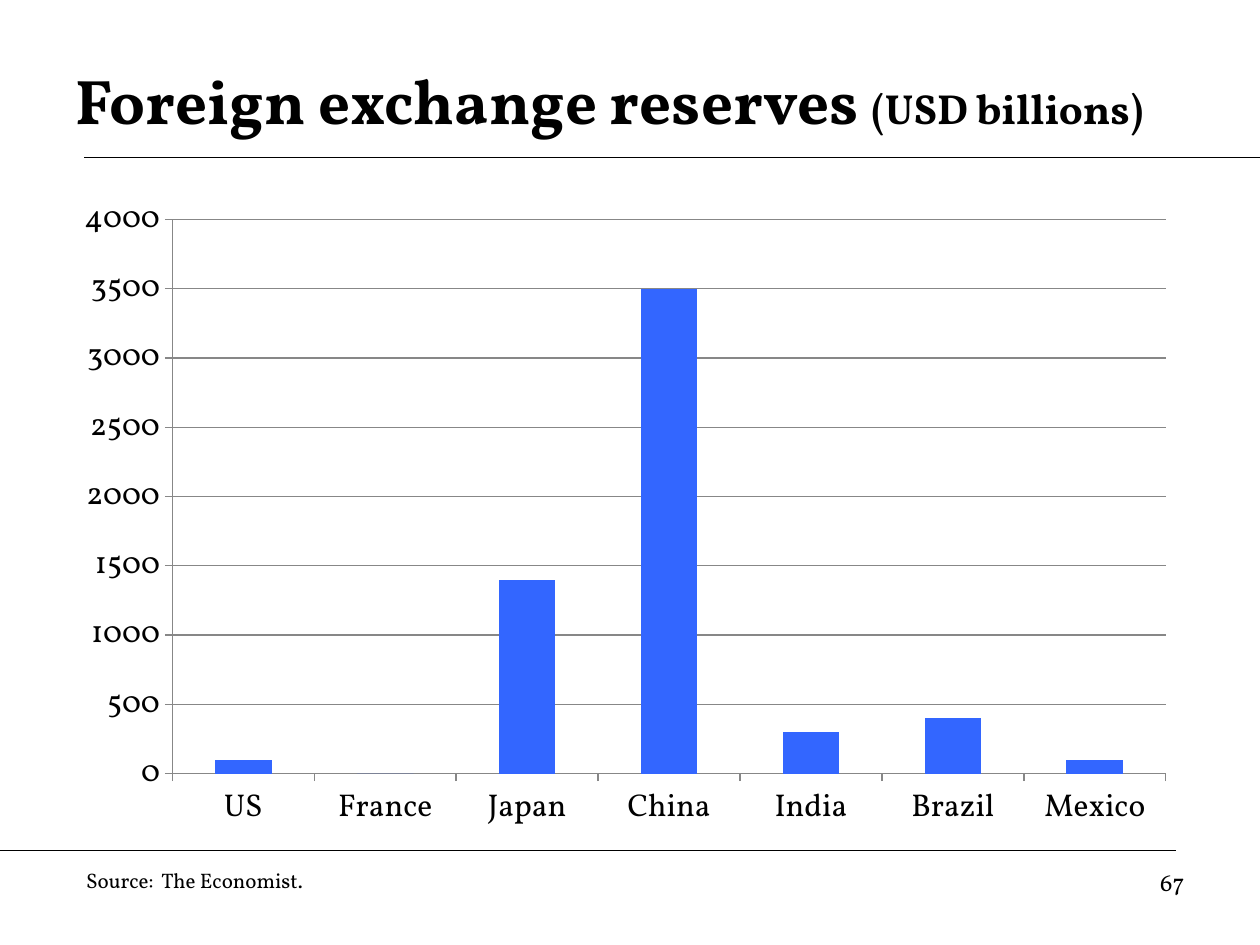
from typing import NamedTuple

from lxml import etree
from pptx import Presentation
from pptx import util as u
from pptx.chart.data import CategoryChartData
from pptx.dml.color import RGBColor
from pptx.enum import chart as charts, shapes, text
from pptx.oxml import parse_xml
from pptx.oxml.ns import qn

WIDTH, HEIGHT = u.Inches(10), u.Inches(7.5)
FONT = "Vollkorn"
BLACK = RGBColor(0x00, 0x00, 0x00)
BLUE = RGBColor(0x33, 0x66, 0xFF)
GREY = RGBColor(0x87, 0x87, 0x87)
TITLE_ONLY = 5
CHART_NS = "http://schemas.openxmlformats.org/drawingml/2006/chart"


class Box(NamedTuple):
    """An area given as shares of the slide's width and height."""
    left: float
    top: float
    width: float
    height: float

    def lengths(self) -> tuple:
        return (int(self.left * WIDTH), int(self.top * HEIGHT),
                int(self.width * WIDTH), int(self.height * HEIGHT))


class Rule(NamedTuple):
    """A horizontal line in shares of the slide."""
    start: float
    end: float
    height: float


class Note(NamedTuple):
    words: str
    box: Box
    size: int
    align: text.PP_ALIGN


RULES = [Rule(0.067, 1, 1 / 6), Rule(0, 0.933, 0.9)]
TITLE_BOX = Box(0.05, 0.044, 0.9, 0.123)
TITLE_RUNS = [("Foreign exchange reserves ", 36), ("(USD billions)", 24)]
CHART_BOX = Box(0.067, 0.204, 0.883, 0.675)
PLOT = {"x": 0.077, "y": 0.042, "w": 0.895, "h": 0.87}
RESERVES = {"US": 100, "France": 0, "Japan": 1400, "China": 3500,
            "India": 300, "Brazil": 400, "Mexico": 100}
NOTES = [
    Note("67", Box(0.717, 0.911, 0.233, 0.069), 14, text.PP_ALIGN.RIGHT),
    Note("Source:  The Economist.", Box(0.0585, 0.911, 0.3, 0.04), 12,
         text.PP_ALIGN.LEFT),
]


def style_font(font, size: int, bold: bool = False) -> None:
    font.name, font.size, font.bold = FONT, u.Pt(size), bold
    font.color.rgb = BLACK


def add_run(paragraph, words: str, size: int, bold: bool = False) -> None:
    run = paragraph.add_run()
    run.text = words
    style_font(run.font, size, bold)


def draw_rule(slide, rule: Rule) -> None:
    y = int(rule.height * HEIGHT)
    line = slide.shapes.add_connector(
        shapes.MSO_CONNECTOR.STRAIGHT,
        int(rule.start * WIDTH), y, int(rule.end * WIDTH), y)
    line.line.color.rgb = BLACK
    line.line.width = u.Pt(0.75)
    etree.SubElement(line._element.spPr, qn("a:effectLst"))


def draw_title(slide) -> None:
    title = slide.shapes.title
    title.left, title.top, title.width, title.height = TITLE_BOX.lengths()
    frame = title.text_frame
    frame.auto_size = text.MSO_AUTO_SIZE.NONE
    frame.vertical_anchor = text.MSO_ANCHOR.MIDDLE
    paragraph = frame.paragraphs[0]
    paragraph.alignment = text.PP_ALIGN.LEFT
    for words, size in TITLE_RUNS:
        add_run(paragraph, words, size, bold=True)


def draw_note(slide, note: Note) -> None:
    frame = slide.shapes.add_textbox(*note.box.lengths()).text_frame
    frame.word_wrap = True
    paragraph = frame.paragraphs[0]
    paragraph.alignment = note.align
    add_run(paragraph, note.words, note.size)


def place_plot(chart) -> None:
    """Fix the inner plot area as shares of the chart."""
    shares = "".join(f'<c:{key} val="{share}"/>' for key, share in PLOT.items())
    layout = parse_xml(
        f'<c:layout xmlns:c="{CHART_NS}"><c:manualLayout>'
        '<c:layoutTarget val="inner"/><c:xMode val="edge"/><c:yMode val="edge"/>'
        f'{shares}</c:manualLayout></c:layout>')
    plot_area = chart._chartSpace.chart.plotArea
    for old in plot_area.findall(qn("c:layout")):
        plot_area.remove(old)
    plot_area.insert(0, layout)


def draw_chart(slide) -> None:
    data = CategoryChartData()
    data.categories = list(RESERVES)
    data.add_series("Series 1", list(RESERVES.values()))
    chart = slide.shapes.add_chart(
        charts.XL_CHART_TYPE.COLUMN_CLUSTERED, *CHART_BOX.lengths(), data).chart
    chart.has_legend = chart.has_title = False
    style_font(chart.font, 18)
    place_plot(chart)

    # Columns
    plot = chart.plots[0]
    plot.gap_width = 150
    plot.vary_by_categories = False
    fill = plot.series[0].format.fill
    fill.solid()
    fill.fore_color.rgb = BLUE

    # Axes and gridlines
    values = chart.value_axis
    values.minimum_scale, values.maximum_scale, values.major_unit = 0, 4000, 500
    values.has_major_gridlines = True
    for axis in (chart.category_axis, values):
        axis.major_tick_mark = charts.XL_TICK_MARK.OUTSIDE
        axis.minor_tick_mark = charts.XL_TICK_MARK.NONE
    for part in (chart.category_axis, values, values.major_gridlines):
        part.format.line.color.rgb = GREY
        part.format.line.width = u.Pt(0.75)


def main() -> None:
    presentation = Presentation()
    presentation.slide_width, presentation.slide_height = WIDTH, HEIGHT
    slide = presentation.slides.add_slide(presentation.slide_layouts[TITLE_ONLY])
    for rule in RULES:
        draw_rule(slide, rule)
    draw_title(slide)
    draw_chart(slide)
    for note in NOTES:
        draw_note(slide, note)
    presentation.save("out.pptx")


if __name__ == "__main__":
    main()
